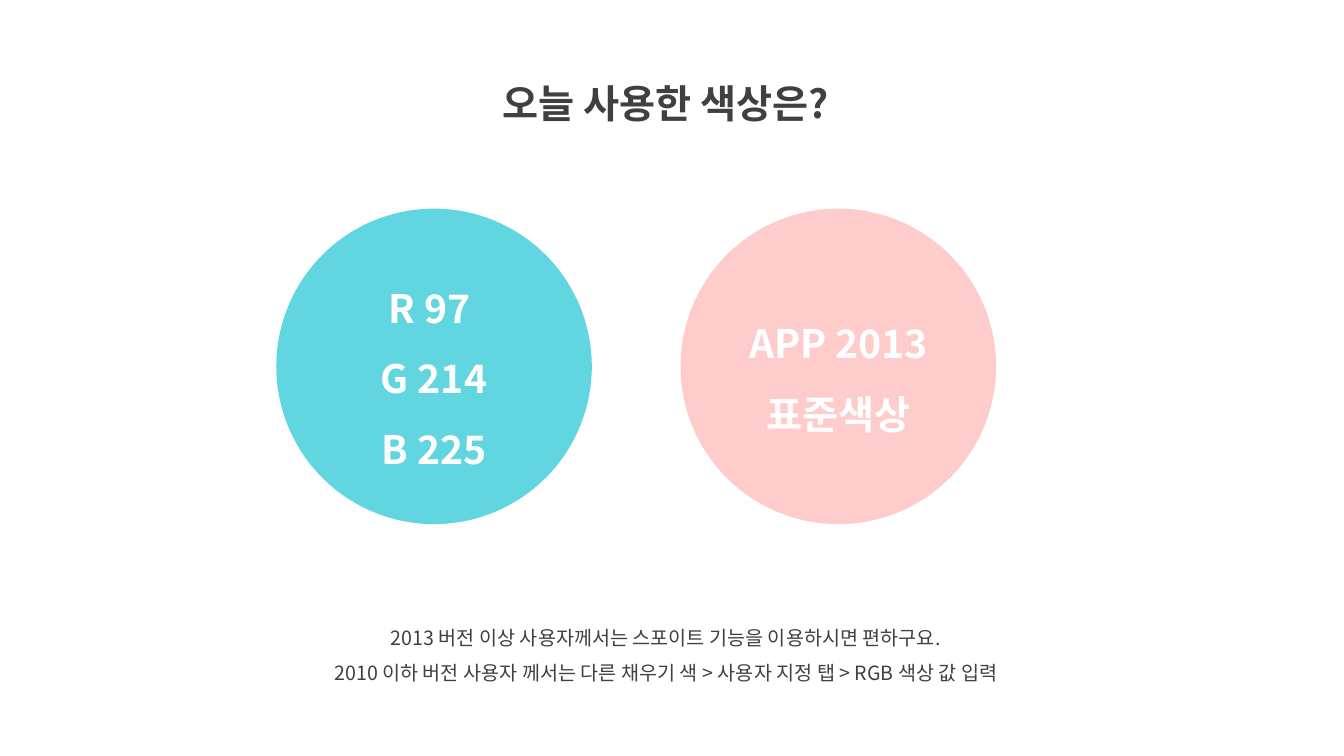
"""Build a slide that lists the two colours used in a presentation."""
from dataclasses import dataclass

from pptx import Presentation
from pptx.dml.color import RGBColor
from pptx.enum import shapes, text
from pptx.oxml import ns
from pptx.oxml.xmlchemy import OxmlElement
from pptx.slide import Slide
from pptx.text.text import TextFrame
from pptx.util import Inches, Pt


@dataclass(frozen=True)
class Theme:
    font: str = "Noto Sans CJK KR"
    dark: str = "404040"
    white: str = "FFFFFF"
    aqua: str = "61D6E1"
    pink: str = "FFCCCC"
    heading_size: int = 28
    note_size: int = 14
    line_spacing: float = 1.5


@dataclass(frozen=True)
class Caption:
    left: float
    top: float
    width: float
    height: float
    lines: tuple[str, ...]
    size: int
    bold: bool


@dataclass(frozen=True)
class Swatch:
    fill: str
    lines: tuple[str, ...]


THEME = Theme()
SWATCH_LEFT, SWATCH_TOP, SWATCH_DIAMETER, SWATCH_PITCH = 2.74, 2.07, 3.13, 4.01

CAPTIONS = (
    Caption(4.29, 0.5, 4.63, 0.72, ("오늘 사용한 색상은?",), THEME.heading_size, True),
    Caption(
        2.61, 6.04, 7.99, 0.81,
        (
            "2013 버전 이상 사용자께서는 스포이트 기능을 이용하시면 편하구요.",
            "2010 이하 버전 사용자 께서는 다른 채우기 색 > 사용자 지정 탭 > RGB 색상 값 입력",
        ),
        THEME.note_size, False,
    ),
)
SWATCHES = (
    Swatch(THEME.aqua, ("R 97 ", "G 214", "B 225")),
    Swatch(THEME.pink, ("APP 2013", "표준색상")),
)


def write_lines(
    frame: TextFrame, lines: tuple[str, ...], *, size: int, color: str, bold: bool
) -> None:
    """Fill a text frame with centred paragraphs in one format."""
    frame.word_wrap = True
    for index, line in enumerate(lines):
        paragraph = frame.add_paragraph() if index else frame.paragraphs[0]
        paragraph.alignment = text.PP_ALIGN.CENTER
        paragraph.line_spacing = THEME.line_spacing
        run = paragraph.add_run()
        run.text = line
        run.font.name = THEME.font
        run.font.size = Pt(size)
        run.font.bold = bold
        run.font.color.rgb = RGBColor.from_string(color)
        east_asian = OxmlElement("a:ea")
        east_asian.set("typeface", THEME.font)
        run.font._element.find(ns.qn("a:latin")).addnext(east_asian)


def draw_caption(slide: Slide, caption: Caption) -> None:
    """Add a text box that grows with its text."""
    box = slide.shapes.add_textbox(
        Inches(caption.left), Inches(caption.top),
        Inches(caption.width), Inches(caption.height),
    )
    write_lines(
        box.text_frame, caption.lines,
        size=caption.size, color=THEME.dark, bold=caption.bold,
    )
    box.text_frame.auto_size = text.MSO_AUTO_SIZE.SHAPE_TO_FIT_TEXT


def draw_swatch(slide: Slide, swatch: Swatch, column: int) -> None:
    """Add a filled circle that names its colour."""
    circle = slide.shapes.add_shape(
        shapes.MSO_SHAPE.OVAL,
        Inches(SWATCH_LEFT + column * SWATCH_PITCH), Inches(SWATCH_TOP),
        Inches(SWATCH_DIAMETER), Inches(SWATCH_DIAMETER),
    )
    circle.shadow.inherit = False
    circle.fill.solid()
    circle.fill.fore_color.rgb = RGBColor.from_string(swatch.fill)
    circle.line.fill.background()
    circle.text_frame.vertical_anchor = text.MSO_ANCHOR.MIDDLE
    write_lines(
        circle.text_frame, swatch.lines,
        size=THEME.heading_size, color=THEME.white, bold=True,
    )


def main() -> None:
    """Build and save the presentation."""
    presentation = Presentation()
    presentation.slide_width = Inches(13.33)
    presentation.slide_height = Inches(7.5)
    slide = presentation.slides.add_slide(presentation.slide_layouts[6])
    for caption in CAPTIONS:
        draw_caption(slide, caption)
    for column, swatch in enumerate(SWATCHES):
        draw_swatch(slide, swatch, column)
    presentation.save("out.pptx")


if __name__ == "__main__":
    main()
